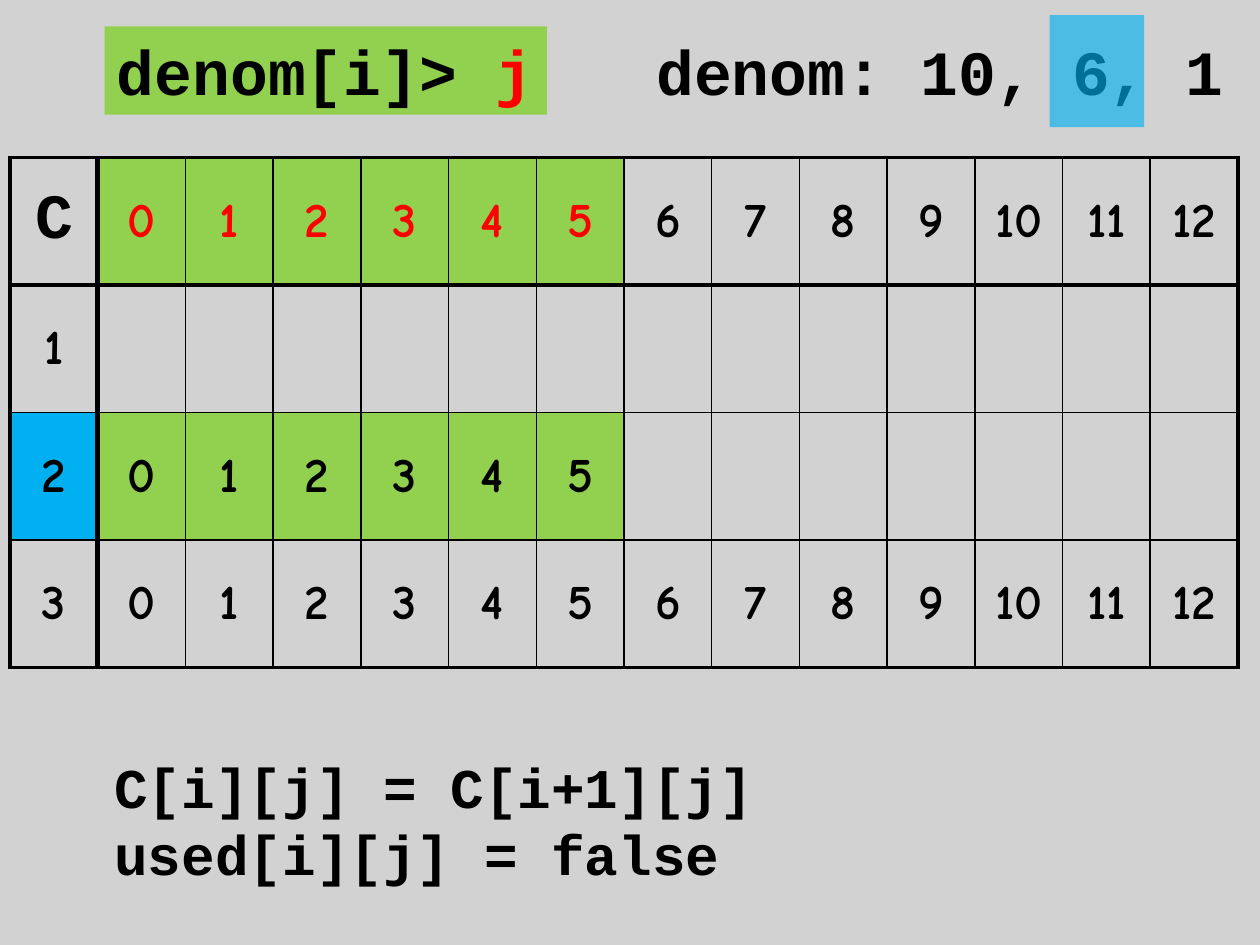
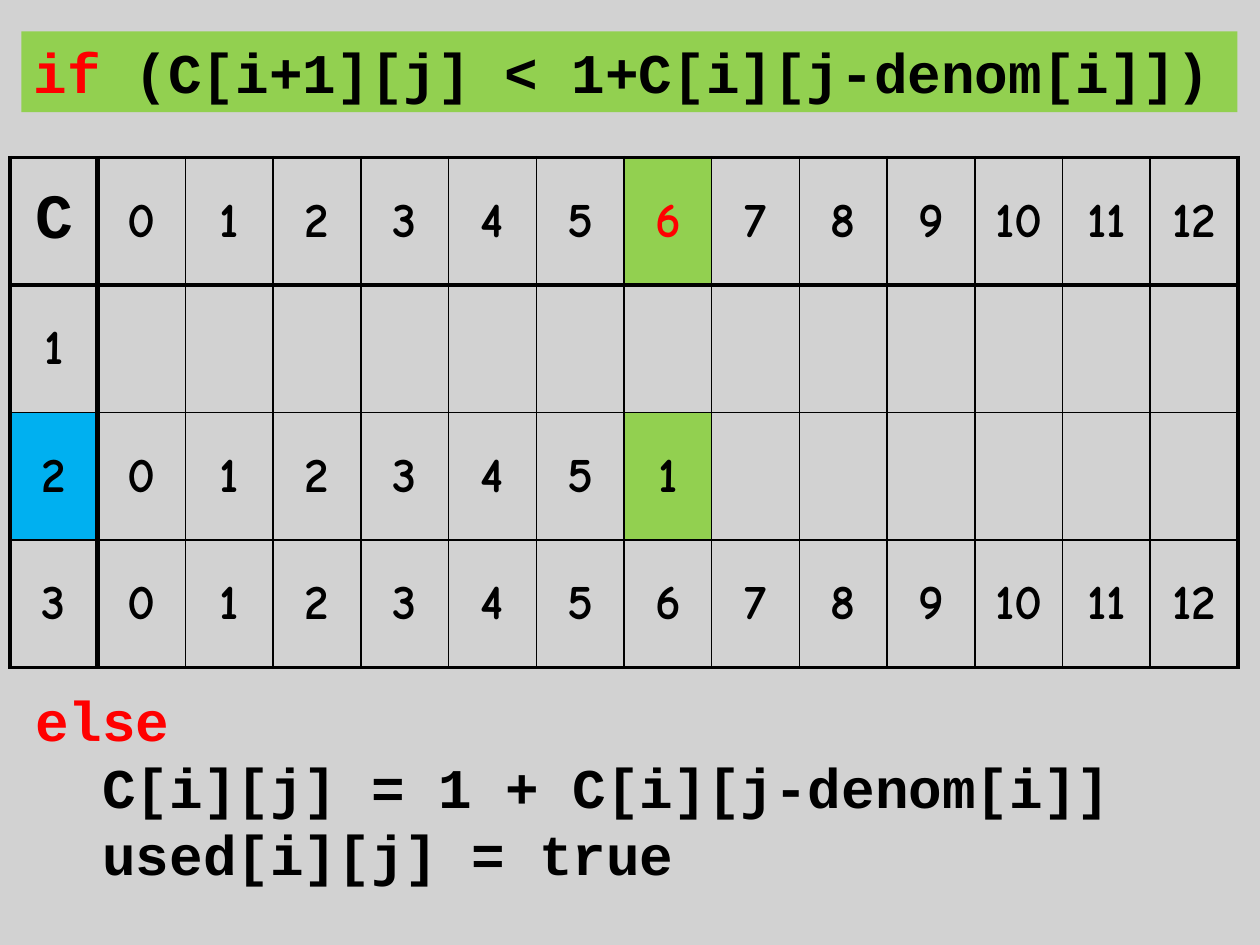
from pptx import Presentation
from pptx.dml.color import RGBColor
from pptx.enum.shapes import MSO_SHAPE as Shape
from pptx.enum.text import MSO_ANCHOR as Anchor, PP_ALIGN as Align
from pptx.oxml.ns import qn
from pptx.util import Inches, Pt
from lxml.etree import SubElement

COLORS = {
    "backdrop": "C0C0C0",
    "ink": "000000",
    "alert": "FF0000",
    "active": "92D050",
    "coin": "00B0F0",
}
CODE_FONT = "Courier New"
DIGIT_FONT = "Comic Neue"
AMOUNTS = list(range(13))
COLUMN_EDGES = [2.25, 3] + [1] * len(AMOUNTS[1:]) + [2.25]
ROW_EDGES = [2.25, 3, 1, 1, 2.25]
CURRENT_COIN_ROW = 2


def rgb(name):
    return RGBColor.from_string(COLORS[name])


def write_text(frame, lines, size=32, font=CODE_FONT, align=Align.LEFT):
    for index, line in enumerate(lines):
        paragraph = frame.add_paragraph() if index else frame.paragraphs[0]
        paragraph.alignment = align
        for text, color in line:
            run = paragraph.add_run()
            run.text = text
            run.font.size = Pt(size)
            run.font.name = font
            run.font.bold = True
            run.font.color.rgb = rgb(color)


def add_panel(slide, left, top, width, height, color, opacity=100):
    panel = slide.shapes.add_shape(
        Shape.RECTANGLE, Inches(left), Inches(top), Inches(width), Inches(height))
    panel.shadow.inherit = False
    panel.line.fill.background()
    panel.fill.solid()
    panel.fill.fore_color.rgb = rgb(color)
    if opacity < 100:
        tint = panel.fill._xPr.find(qn("a:solidFill"))[0]
        SubElement(tint, qn("a:alpha"), val=str(opacity * 1000))
    return panel


def add_condition(slide, left, top, width, height, line, size):
    frame = add_panel(slide, left, top, width, height, "active").text_frame
    frame.word_wrap = True
    frame.vertical_anchor = Anchor.TOP
    write_text(frame, [line], size=size)


def add_code(slide, left, top, width, height, lines, size=32):
    frame = slide.shapes.add_textbox(
        Inches(left), Inches(top), Inches(width), Inches(height)).text_frame
    frame.word_wrap = True
    write_text(frame, lines, size=size)


def set_borders(cell, row, column):
    properties = cell._tc.get_or_add_tcPr()
    widths = {
        "a:lnL": COLUMN_EDGES[column],
        "a:lnR": COLUMN_EDGES[column + 1],
        "a:lnT": ROW_EDGES[row],
        "a:lnB": ROW_EDGES[row + 1],
    }
    for side, width in widths.items():
        line = SubElement(properties, qn(side), w=str(Pt(width)))
        fill = SubElement(line, qn("a:solidFill"))
        SubElement(fill, qn("a:srgbClr"), val=COLORS["ink"])


def style_cell(cell, row, column, value, active_amounts):
    is_active = column - 1 in active_amounts and row in (0, CURRENT_COIN_ROW)
    is_corner = row == column == 0
    set_borders(cell, row, column)
    cell.vertical_anchor = Anchor.MIDDLE
    if is_active or (row, column) == (CURRENT_COIN_ROW, 0):
        cell.fill.solid()
        cell.fill.fore_color.rgb = rgb("active" if is_active else "coin")
    else:
        cell.fill.background()
    if value != "":
        color = "alert" if is_active and row == 0 else "ink"
        write_text(cell.text_frame, [[(str(value), color)]],
                   size=36 if is_corner else 28,
                   font=CODE_FONT if is_corner else DIGIT_FONT,
                   align=Align.CENTER)


def add_cost_table(slide, solved_costs, active_amounts):
    unsolved = [""] * len(AMOUNTS)
    rows = [
        ["C"] + AMOUNTS,
        [1] + unsolved,
        [2] + solved_costs + unsolved[len(solved_costs):],
        [3] + AMOUNTS,
    ]
    table = slide.shapes.add_table(
        len(rows), len(rows[0]), Inches(0.08), Inches(1.25),
        Inches(9.75), Inches(4.05)).table
    table.first_row = False
    table.horz_banding = False
    for row, values in enumerate(rows):
        for column, value in enumerate(values):
            style_cell(table.cell(row, column), row, column, value, active_amounts)


def add_step(deck, solved_costs, active_amounts):
    slide = deck.slides.add_slide(deck.slide_layouts[6])
    add_panel(slide, 0, 0, 10, 7.5, "backdrop", opacity=70)
    add_cost_table(slide, solved_costs, active_amounts)
    return slide


def add_coin_too_large(deck):
    slide = add_step(deck, AMOUNTS[:6], AMOUNTS[:6])
    add_code(slide, 5.11, 0.21, 4.71, 0.7, [[("denom: 10, 6, 1", "ink")]], size=36)
    add_panel(slide, 8.33, 0.12, 0.75, 0.89, "coin", opacity=63)
    add_condition(slide, 0.83, 0.21, 3.51, 0.7,
                  [("denom[i]> ", "ink"), ("j", "alert")], size=36)
    add_code(slide, 0.81, 5.92, 5.33, 1.18, [
        [("C[i][j] = C[i+1][j]", "ink")],
        [("used[i][j] = false", "ink")],
    ])


def add_coin_used(deck):
    slide = add_step(deck, AMOUNTS[:6] + [1], [6])
    add_condition(slide, 0.17, 0.25, 9.65, 0.64, [
        ("if ", "alert"), ("(C[i+1][j] < 1+C[i][j-denom[i]])", "ink")], size=32)
    add_code(slide, 0.18, 5.39, 8.84, 1.72, [
        [("else", "alert")],
        [("  C[i][j] = 1 + C[i][j-denom[i]]", "ink")],
        [("  used[i][j] = true", "ink")],
    ])


def main():
    deck = Presentation()
    deck.slide_width = Inches(10)
    deck.slide_height = Inches(7.5)
    add_coin_too_large(deck)
    add_coin_used(deck)
    deck.save("out.pptx")


if __name__ == "__main__":
    main()
